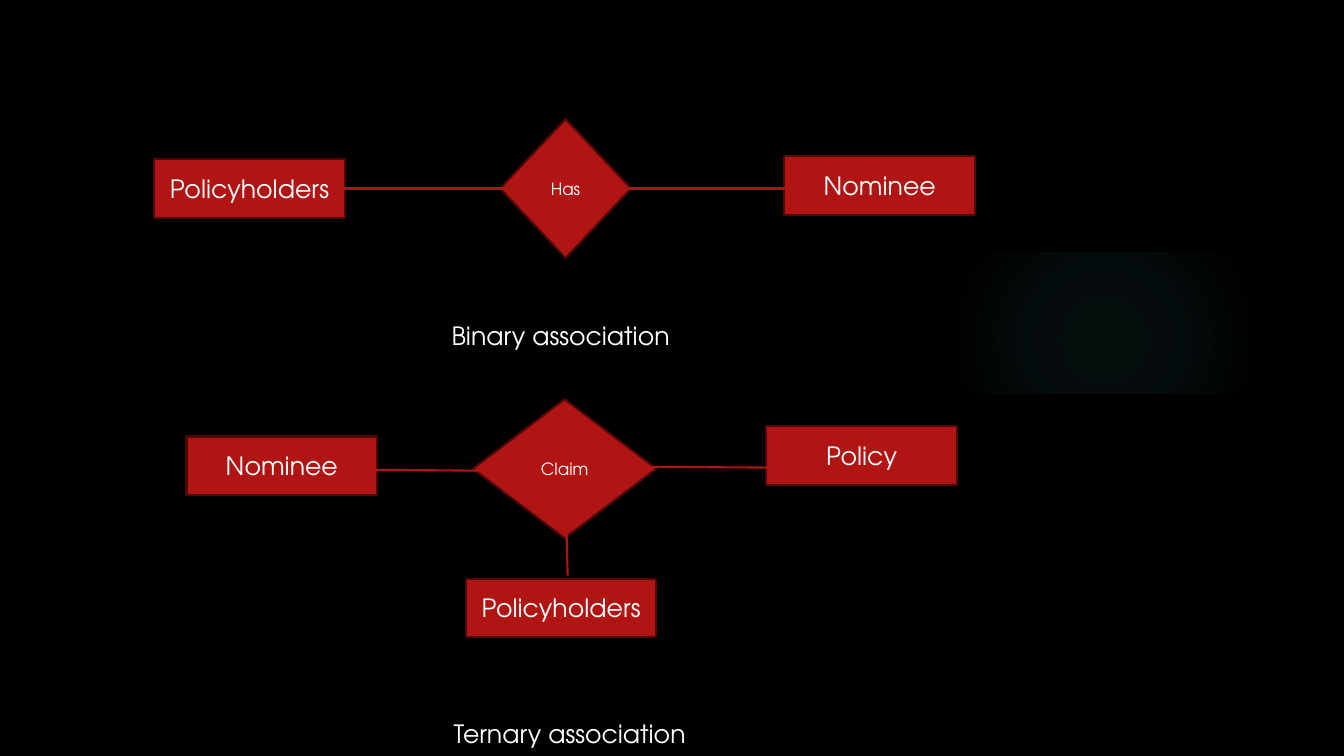
from dataclasses import dataclass

from lxml.etree import SubElement
from pptx import Presentation
from pptx.dml.color import RGBColor
from pptx.enum.shapes import MSO_CONNECTOR, MSO_SHAPE
from pptx.enum.text import MSO_ANCHOR, MSO_AUTO_SIZE, PP_ALIGN
from pptx.oxml import parse_xml
from pptx.oxml.ns import nsdecls, qn
from pptx.util import Inches, Pt

COLORS = {
    "black": "000000",
    "red": "B01513",
    "edge": "4D0908",
    "white": "FFFFFF",
    "glow": "50B9C1",
}
FONT = "TeX Gyre Adventor"
SLIDE_W, SLIDE_H = 13.33, 7.5
ENTITY_W, ENTITY_H = 1.89, 0.58
RELATION_H = 1.38
LINE_W = 1.5


@dataclass
class Entity:
    text: str
    x: float
    y: float


@dataclass
class Relation:
    text: str
    x: float
    y: float
    w: float


@dataclass
class Caption:
    text: str
    x: float
    y: float
    w: float


@dataclass
class Link:
    x1: float
    y1: float
    x2: float
    y2: float


ENTITIES = [
    Entity("Policyholders", 1.53, 1.58),
    Entity("Nominee", 7.78, 1.55),
    Entity("Nominee", 1.85, 4.33),
    Entity("Policy", 7.6, 4.23),
    Entity("Policyholders", 4.62, 5.74),
]
RELATIONS = [
    Relation("Has", 4.96, 1.18, 1.3),
    Relation("Claim", 4.69, 3.96, 1.82),
]
CAPTIONS = [
    Caption("Binary association", 4.38, 3.13, 2.38),
    Caption("Ternary association", 4.4, 7.08, 2.51),
]
LINKS = [
    Link(3.27, 1.87, 5.13, 1.87),
    Link(6.09, 1.87, 7.95, 1.87),
    Link(3.61, 4.66, 4.79, 4.67),
    Link(6.25, 4.63, 7.78, 4.64),
    Link(5.63, 5.71, 5.61, 4.91),
]


def rgb(name: str) -> RGBColor:
    return RGBColor.from_string(COLORS[name])


def add_block(s, kind, x: float, y: float, w: float, h: float, fill: str, line: str):
    sp = s.shapes.add_shape(kind, Inches(x), Inches(y), Inches(w), Inches(h))
    sp.shadow.inherit = False
    sp.fill.solid()
    sp.fill.fore_color.rgb = rgb(fill)
    sp.line.color.rgb = rgb(line)
    sp.line.width = Pt(LINE_W)
    return sp


def write(sp, text: str, size: int, align=PP_ALIGN.CENTER) -> None:
    p = sp.text_frame.paragraphs[0]
    p.text = text
    p.alignment = align
    p.font.name = FONT
    p.font.size = Pt(size)
    p.font.color.rgb = rgb("white")


def add_glow(s) -> None:
    sp = add_block(s, MSO_SHAPE.OVAL, 9.41, 1.83, 3.08, 3.08, "glow", "glow")
    sp.line.fill.background()
    stops = "".join(
        f'<a:gs pos="{pos * 1000}"><a:srgbClr val="{COLORS["glow"]}">'
        f'<a:alpha val="{alpha * 1000}"/></a:srgbClr></a:gs>'
        for pos, alpha in [(0, 7), (36, 6), (69, 0)]
    )
    gradient = parse_xml(
        f'<a:gradFill {nsdecls("a")} rotWithShape="1"><a:gsLst>{stops}</a:gsLst>'
        '<a:path path="circle"><a:fillToRect l="50000" t="50000" r="50000" b="50000"/>'
        "</a:path></a:gradFill>"
    )
    sp_pr = sp.element.spPr
    sp_pr.replace(sp_pr.find(qn("a:solidFill")), gradient)


def add_entity(s, entity: Entity) -> None:
    sp = add_block(s, MSO_SHAPE.RECTANGLE, entity.x, entity.y,
                   ENTITY_W, ENTITY_H, "red", "edge")
    sp.text_frame.vertical_anchor = MSO_ANCHOR.MIDDLE
    write(sp, entity.text, 18)


def add_relation(s, relation: Relation) -> None:
    sp = add_block(s, MSO_SHAPE.DIAMOND, relation.x, relation.y,
                   relation.w, RELATION_H, "red", "edge")
    sp.text_frame.vertical_anchor = MSO_ANCHOR.MIDDLE
    write(sp, relation.text, 12)


def add_caption(s, caption: Caption) -> None:
    sp = s.shapes.add_textbox(Inches(caption.x), Inches(caption.y),
                              Inches(caption.w), Inches(0.4))
    tf = sp.text_frame
    tf.word_wrap = False
    tf.auto_size = MSO_AUTO_SIZE.SHAPE_TO_FIT_TEXT
    write(sp, caption.text, 18, PP_ALIGN.LEFT)


def add_link(s, link: Link) -> None:
    line = s.shapes.add_connector(MSO_CONNECTOR.STRAIGHT, Inches(link.x1), Inches(link.y1),
                                  Inches(link.x2), Inches(link.y2))
    line.line.color.rgb = rgb("red")
    line.line.width = Pt(LINE_W)
    SubElement(line.element.spPr, qn("a:effectLst"))


def main() -> None:
    prs = Presentation()
    prs.slide_width, prs.slide_height = Inches(SLIDE_W), Inches(SLIDE_H)
    s = prs.slides.add_slide(prs.slide_layouts[6])

    # Background: a faint glow between two black bands
    s.background.fill.solid()
    s.background.fill.fore_color.rgb = rgb("black")
    add_glow(s)
    for top, bottom in [(0, 2.49), (3.92, SLIDE_H)]:
        add_block(s, MSO_SHAPE.RECTANGLE, 0, top, 12.9, bottom - top, "black", "black")

    # Entities, relations and captions
    for entity in ENTITIES:
        add_entity(s, entity)
    for relation in RELATIONS:
        add_relation(s, relation)
    for caption in CAPTIONS:
        add_caption(s, caption)

    # Links
    for link in LINKS:
        add_link(s, link)

    prs.save("out.pptx")


if __name__ == "__main__":
    main()
